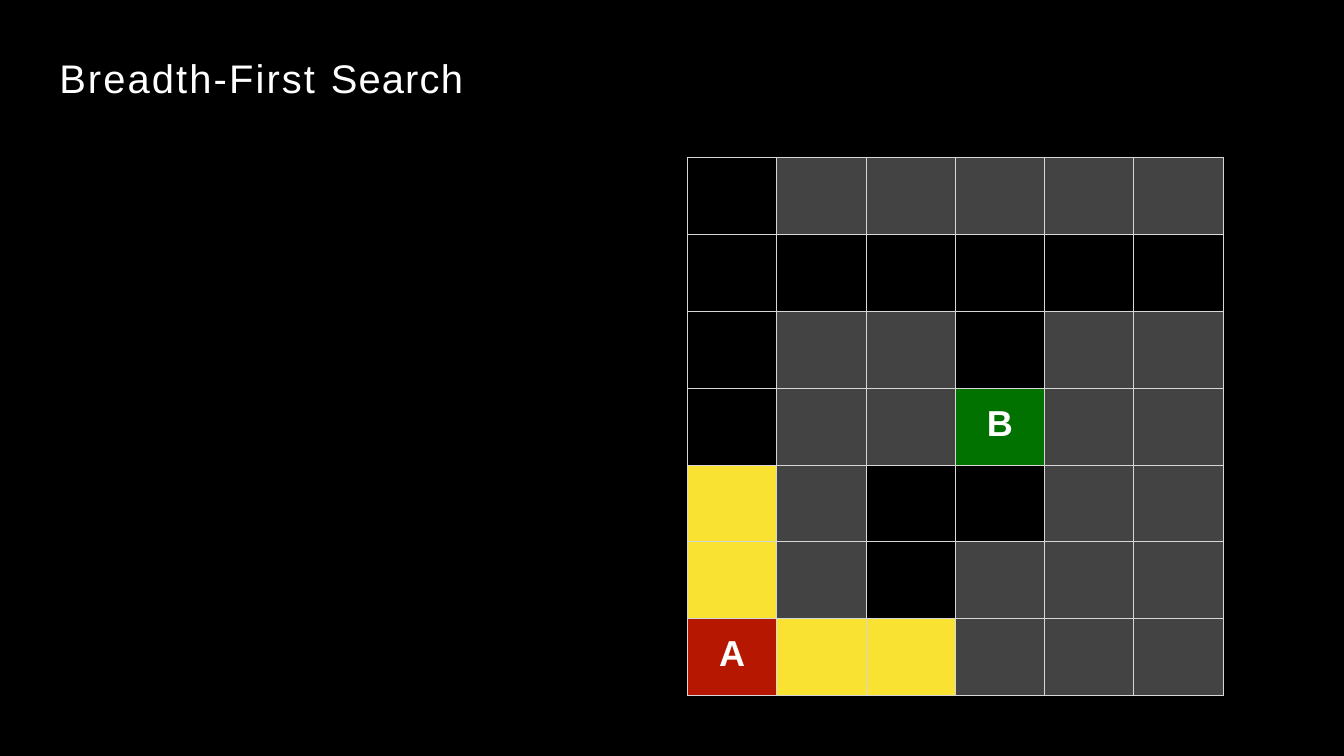
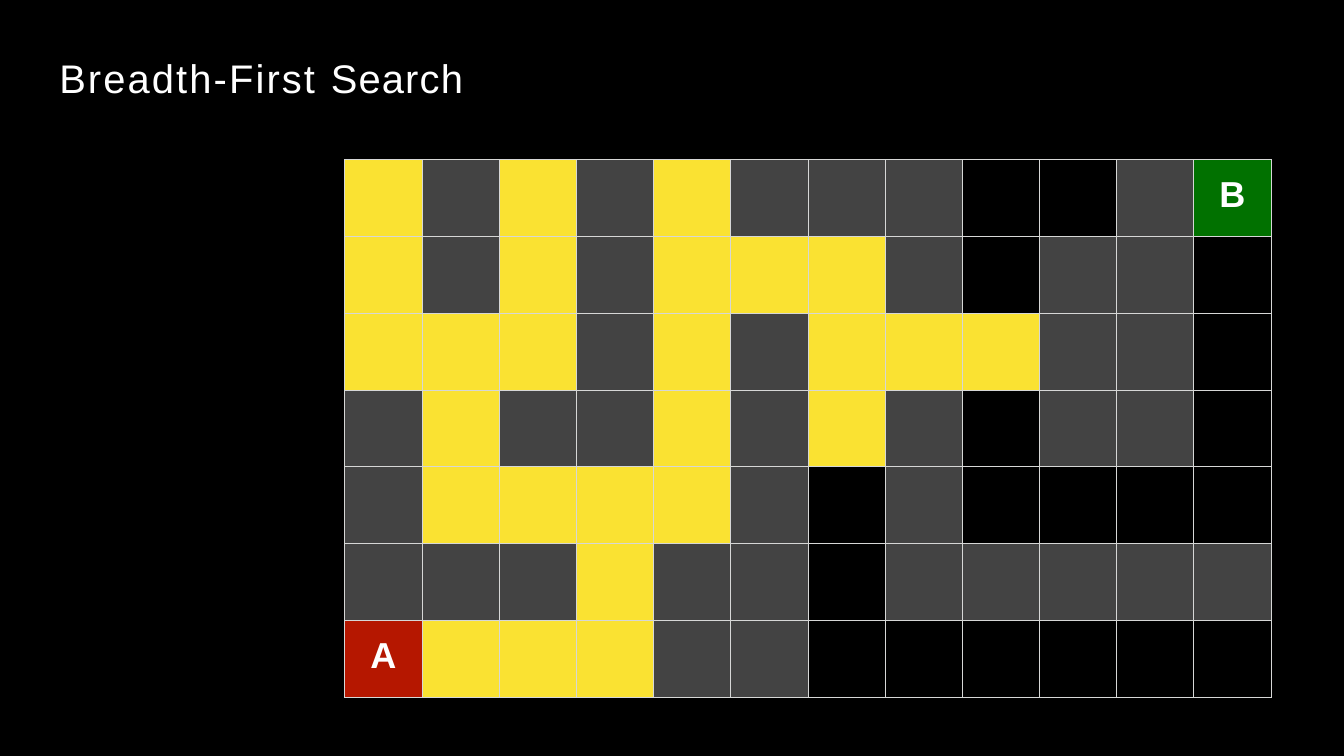
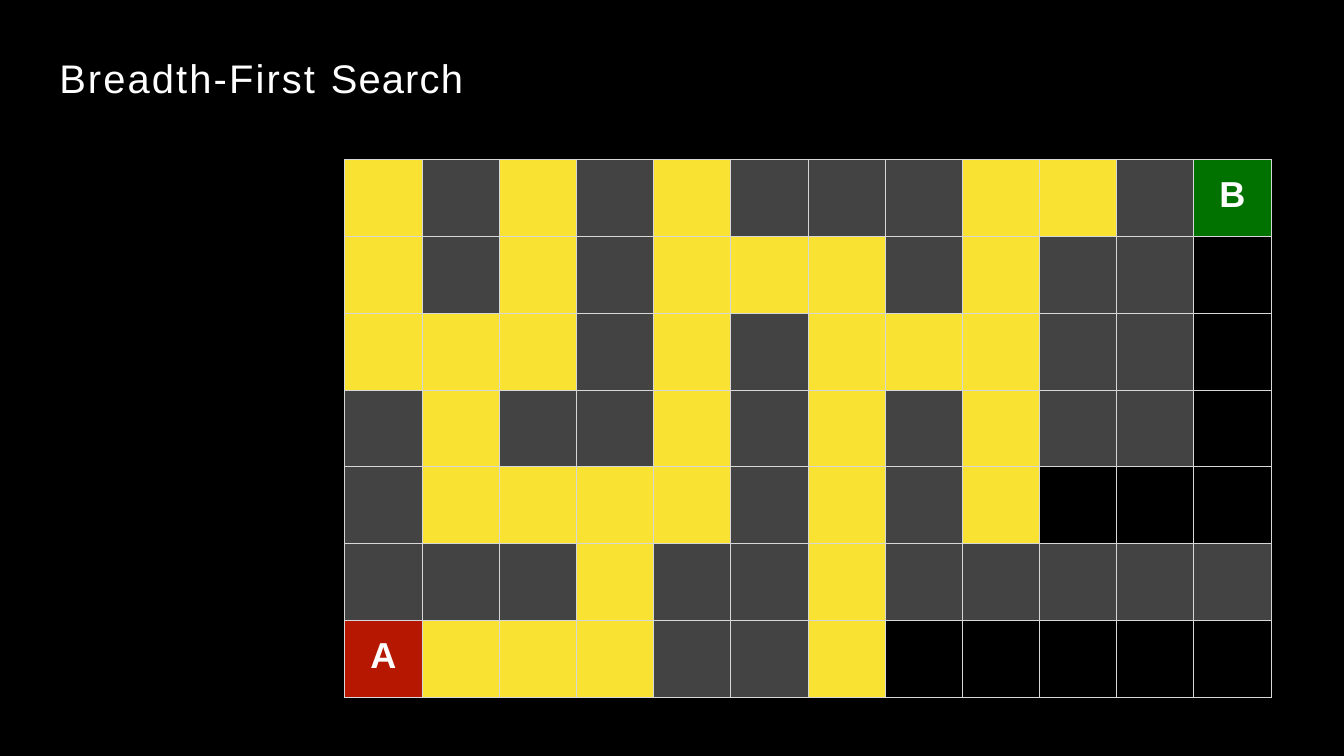
from lxml import etree
from pptx import Presentation
from pptx.dml.color import RGBColor
from pptx.enum.shapes import MSO_SHAPE
from pptx.enum.text import MSO_ANCHOR, PP_ALIGN
from pptx.oxml.ns import qn
from pptx.util import Inches, Pt

CENTER = PP_ALIGN.CENTER
MIDDLE, TOP = MSO_ANCHOR.MIDDLE, MSO_ANCHOR.TOP
RECTANGLE = MSO_SHAPE.RECTANGLE

BLACK = RGBColor(0x00, 0x00, 0x00)
WHITE = RGBColor(0xFF, 0xFF, 0xFF)
GRAY = RGBColor(0x43, 0x43, 0x43)
YELLOW = RGBColor(0xFA, 0xE2, 0x32)
RED = RGBColor(0xB5, 0x17, 0x00)
GREEN = RGBColor(0x01, 0x71, 0x00)
GRID_LINE = RGBColor(0xD6, 0xD7, 0xD6)

# Wall, open, explored, start and goal cells
CELL_FILLS = {"#": GRAY, ".": BLACK, "*": YELLOW, "A": RED, "B": GREEN}

# Title words with their letter spacing in points
TITLE = [("Breadth-First ", 2.5), ("Search", 1.4)]
TITLE_FONT = {"name": "Arial", "size": Pt(47)}
LETTER_FONT = {"name": "Arial", "size": Pt(42.5), "bold": True}

SLIDE_SIZE = (21.99, 12.37)
TITLE_BOX = (0.96, 0.86, 6.68, 0.81)
MAZE_HEIGHT = 8.8

MAZES = [
    {"left": 11.25, "top": 2.58, "width": 8.76, "rows": [
        ".#####",
        "......",
        ".##.##",
        ".##B##",
        "*#..##",
        "*#.###",
        "A**###",
    ]},
    {"left": 5.64, "top": 2.61, "width": 15.16, "rows": [
        "*#*#*###..#B",
        "*#*#***#.##.",
        "***#*#***##.",
        "#*##*#*#.##.",
        "#****#.#....",
        "###*##.#####",
        "A***##......",
    ]},
    {"left": 5.64, "top": 2.61, "width": 15.16, "rows": [
        "*#*#*###**#B",
        "*#*#***#*##.",
        "***#*#***##.",
        "#*##*#*#*##.",
        "#****#*#*...",
        "###*##*#####",
        "A***##*.....",
    ]},
]


def style(font, formats):
    for name, value in formats.items():
        setattr(font, name, value)
    font.color.rgb = WHITE


def add_backdrop(deck, page):
    """Draw the black backdrop on a page, then move it to the master that all pages share."""
    backdrop = page.shapes.add_shape(RECTANGLE, 0, 0, deck.slide_width, deck.slide_height)
    backdrop.shadow.inherit = False
    backdrop.fill.solid()
    backdrop.fill.fore_color.rgb = BLACK
    backdrop.line.fill.background()
    tree = deck.slide_master.element.find(".//" + qn("p:spTree"))
    tree.insert(2, backdrop.element)


def add_title(page):
    box = page.shapes.add_textbox(*map(Inches, TITLE_BOX))
    frame = box.text_frame
    layout = {"word_wrap": True, "vertical_anchor": TOP, "margin_left": Inches(0.01),
              "margin_right": 0, "margin_top": Inches(0.02), "margin_bottom": 0}
    for name, value in layout.items():
        setattr(frame, name, value)
    for text, spacing in TITLE:
        span = frame.paragraphs[0].add_run()
        span.text = text
        style(span.font, TITLE_FONT)
        span.font._element.set("spc", str(round(spacing * 100)))


def add_borders(cell):
    properties = cell._tc.get_or_add_tcPr()
    for side in ("a:lnL", "a:lnR", "a:lnT", "a:lnB"):
        line = etree.SubElement(properties, qn(side), w=str(Pt(1)))
        fill = etree.SubElement(line, qn("a:solidFill"))
        etree.SubElement(fill, qn("a:srgbClr"), val=str(GRID_LINE))


def fill_cell(cell, mark):
    add_borders(cell)
    cell.fill.solid()
    cell.fill.fore_color.rgb = CELL_FILLS[mark]
    layout = {"vertical_anchor": MIDDLE, "margin_left": 0, "margin_right": 0,
              "margin_top": 0, "margin_bottom": Inches(0.09)}
    for name, value in layout.items():
        setattr(cell, name, value)
    if mark.isalpha():
        para = cell.text_frame.paragraphs[0]
        para.alignment = CENTER
        span = para.add_run()
        span.text = mark
        style(span.font, LETTER_FONT)


def add_maze(page, maze):
    rows = maze["rows"]
    place = (maze["left"], maze["top"], maze["width"], MAZE_HEIGHT)
    table = page.shapes.add_table(len(rows), len(rows[0]), *map(Inches, place)).table
    table.first_row = table.horz_banding = False
    for row, marks in enumerate(rows):
        for column, mark in enumerate(marks):
            fill_cell(table.cell(row, column), mark)


def main():
    deck = Presentation()
    deck.slide_width, deck.slide_height = map(Inches, SLIDE_SIZE)
    blank = deck.slide_layouts[6]
    pages = [deck.slides.add_slide(blank) for _ in MAZES]
    add_backdrop(deck, pages[0])
    for page, maze in zip(pages, MAZES):
        add_maze(page, maze)
        add_title(page)
    deck.save("out.pptx")


if __name__ == "__main__":
    main()
